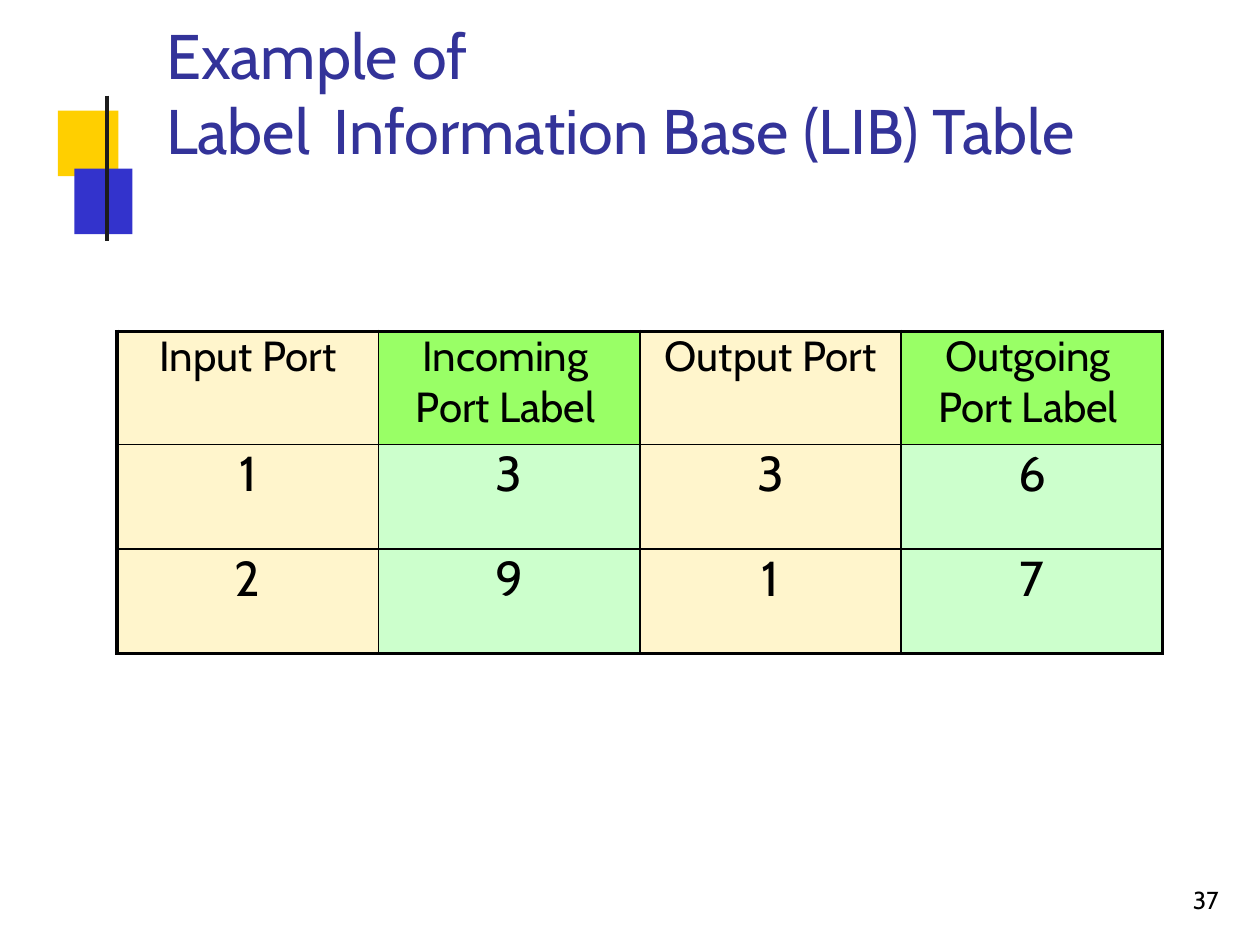
import pptx
import pptx.util
import pptx.dml.color
import pptx.enum.shapes
import pptx.enum.text
import pptx.oxml
import pptx.oxml.ns
from lxml import etree

Cm, Pt = pptx.util.Cm, pptx.util.Pt
Align = pptx.enum.text.PP_ALIGN
qn = pptx.oxml.ns.qn
hues = {"gold": "FFCF00", "blue": "3333CC", "rule": "1C1C1C", "title": "333399",
        "text": "000000", "cream": "FFF5CC", "green": "99FF66", "mint": "CCFFCC"}


def color(name):
    return pptx.dml.color.RGBColor.from_string(hues[name])


def style(frame, size, hue, align):
    frame.margin_left = frame.margin_right = 0
    frame.margin_top = frame.margin_bottom = 0
    for para in frame.paragraphs:
        para.alignment = align
        for run in para.runs:
            run.font.name = "Cabin"
            run.font.size = Pt(size)
            run.font.bold = False
            run.font.color.rgb = color(hue)


deck = pptx.Presentation()
deck.slide_width, deck.slide_height = Cm(25.4), Cm(19.05)
slide = deck.slides.add_slide(deck.slide_layouts[5])
shapes = slide.shapes

# Corner squares and upright rule
for left, top, width, hue in [(1.17, 2.23, 1.22, "gold"), (1.5, 3.4, 1.17, "blue")]:
    box = shapes.add_shape(pptx.enum.shapes.MSO_SHAPE.RECTANGLE,
                           Cm(left), Cm(top), Cm(width), Cm(1.32))
    box.shadow.inherit = False
    box.fill.solid()
    box.fill.fore_color.rgb = color(hue)
    box.line.fill.background()
rule = shapes.add_connector(pptx.enum.shapes.MSO_CONNECTOR.STRAIGHT,
                            Cm(2.16), Cm(1.93), Cm(2.16), Cm(4.85))
rule.line.color.rgb = color("rule")
rule.line.width = Pt(2.5)
etree.SubElement(rule._element.spPr, qn("a:effectLst"))

# Title
title = shapes.title
title.left, title.top, title.width, title.height = Cm(3.35), Cm(0.33), Cm(19.75), Cm(3.05)
frame = title.text_frame
frame.text = "Example of\nLabel\tInformation Base (LIB) Table"
frame.word_wrap = True
frame.auto_size = pptx.enum.text.MSO_AUTO_SIZE.NONE
frame.vertical_anchor = pptx.enum.text.MSO_ANCHOR.TOP
tabs = etree.SubElement(frame.paragraphs[1]._p.get_or_add_pPr(), qn("a:tabLst"))
etree.SubElement(tabs, qn("a:tab"), pos=str(Cm(3.38)), algn="l")
for para in frame.paragraphs:
    para.line_spacing = Pt(43.1)
style(frame, 36, "title", Align.LEFT)

# Label table
rows = [["Input Port", "Incoming Port Label", "Output Port", "Outgoing Port Label"],
        ["1", "3", "3", "6"],
        ["2", "9", "1", "7"]]
last, end = len(rows) - 1, len(rows[0]) - 1
table = shapes.add_table(last + 1, end + 1, Cm(2.36), Cm(6.68), Cm(21.08), Cm(6.5)).table
table.first_row = table.horz_banding = False
for col in table.columns:
    col.width = Cm(5.27)
for row, height in zip(table.rows, [2.28, 2.11, 2.11]):
    row.height = Cm(height)

for r, row in enumerate(rows):
    for c, text in enumerate(row):
        cell = table.cell(r, c)
        cell.text_frame.text = text
        style(cell.text_frame, 28 if r else 24, "text", Align.CENTER)
        wide = r == 0 and c % 2 == 1
        cell.margin_left = Cm(0.7 if wide else 0)
        cell.margin_right = Cm(0.85 if wide else 0)
        cell.margin_top = cell.margin_bottom = 0

        # Heavy outer frame, thin inner grid
        props = cell._tc.get_or_add_tcPr()
        for side, outer in [("L", c == 0), ("R", c == end), ("T", r == 0), ("B", r == last)]:
            edge = etree.SubElement(props, qn("a:ln" + side), w=str(Pt(2.25 if outer else 1)))
            paint = etree.SubElement(edge, qn("a:solidFill"))
            etree.SubElement(paint, qn("a:srgbClr"), val=hues["text"])
        cell.fill.solid()
        hue = "cream" if c % 2 == 0 else "mint" if r else "green"
        cell.fill.fore_color.rgb = color(hue)

# Page number
page = shapes.add_textbox(Cm(24.05), Cm(17.88), Cm(0.8), Cm(0.56))
page.text_frame.text = "37"
page.text_frame.word_wrap = False
page.text_frame.paragraphs[0].line_spacing = Pt(15.5)
style(page.text_frame, 14, "text", Align.LEFT)

deck.save("out.pptx")
